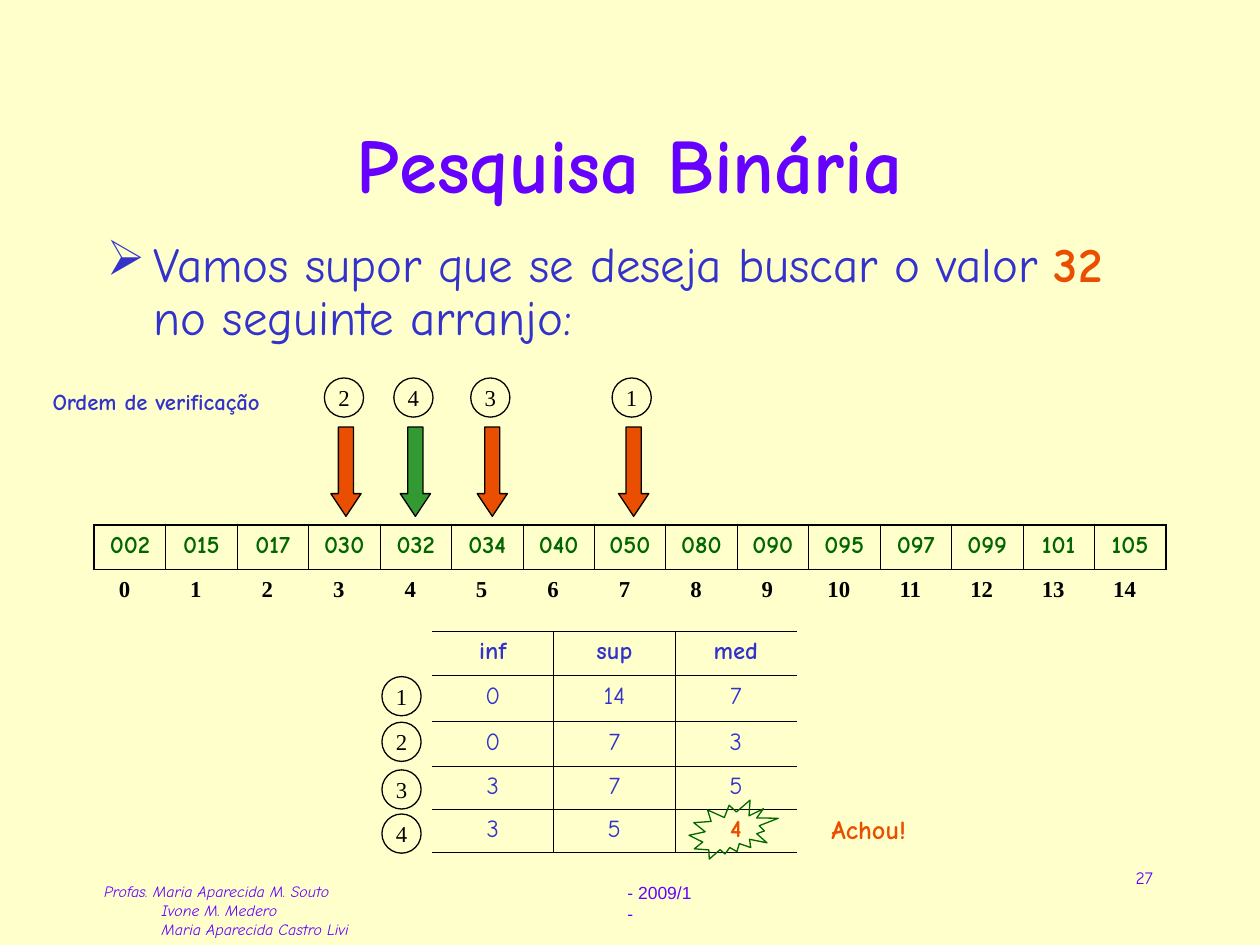
import dataclasses

import lxml.etree
import pptx
import pptx.dml.color
import pptx.enum.shapes
import pptx.enum.text
import pptx.oxml.ns
import pptx.util

Cm = pptx.util.Cm
Pt = pptx.util.Pt
SHAPE = pptx.enum.shapes.MSO_SHAPE
ALIGN = pptx.enum.text.PP_ALIGN
ANCHOR = pptx.enum.text.MSO_ANCHOR


@dataclasses.dataclass(frozen=True)
class Theme:
    paper: str = "FFFFCC"
    violet: str = "6600FF"
    blue: str = "3333CC"
    orange: str = "EA4E00"
    green: str = "339933"
    dark_green: str = "006600"
    black: str = "000000"
    comic: str = "Comic Neue"
    serif: str = "Times New Roman"
    sans: str = "Arial"
    title: float = 44
    body: float = 28
    found: float = 15
    cell: float = 14
    label: float = 13
    small: float = 10
    credit: float = 9
    outline: float = 0.75
    thin: float = 0.45
    thick: float = 1.08


def rgb(value):
    return pptx.dml.color.RGBColor.from_string(value)


def add_xml(parent, tag, **attrs):
    return lxml.etree.SubElement(parent, pptx.oxml.ns.qn(tag), attrs)


class Board:
    def __init__(self, prs, theme):
        self.theme = theme
        self.slide = prs.slides.add_slide(prs.slide_layouts[6])
        fill = self.slide.background.fill
        fill.solid()
        fill.fore_color.rgb = rgb(theme.paper)

    def run(self, p, text, size, color, font=None, bold=False, italic=False):
        r = p.add_run()
        r.text = text
        r.font.name = font or self.theme.comic
        r.font.size = Pt(size)
        r.font.color.rgb = rgb(color)
        r.font.bold = bold
        r.font.italic = italic

    def text(self, box, wrap=True, align=ALIGN.LEFT, anchor=ANCHOR.TOP):
        sp = self.slide.shapes.add_textbox(*map(Cm, box))
        tf = sp.text_frame
        tf.word_wrap = wrap
        tf.vertical_anchor = anchor
        p = tf.paragraphs[0]
        p.alignment = align
        return tf, p

    def label(self, box, text, size, color, font=None, bold=False, **layout):
        tf, p = self.text(box, **layout)
        self.run(p, text, size, color, font, bold)

    def bullet(self, p, mark, color, indent):
        pPr = p._p.get_or_add_pPr()
        pPr.set("marL", str(Cm(indent)))
        pPr.set("indent", str(-Cm(indent)))
        add_xml(add_xml(pPr, "a:buClr"), "a:srgbClr", val=color)
        add_xml(pPr, "a:buChar", char=mark)

    def tabs(self, p, positions):
        tab_list = add_xml(p._p.get_or_add_pPr(), "a:tabLst")
        for pos in positions:
            add_xml(tab_list, "a:tab", pos=str(Cm(pos)), algn="ctr")

    def shape(self, kind, box, line, fill=None):
        sp = self.slide.shapes.add_shape(kind, *map(Cm, box))
        sp.shadow.inherit = False
        sp.line.color.rgb = rgb(line)
        sp.line.width = Pt(self.theme.outline)
        if fill:
            sp.fill.solid()
            sp.fill.fore_color.rgb = rgb(fill)
        else:
            sp.fill.background()
        return sp

    def badge(self, left, top, number):
        th = self.theme
        sp = self.shape(SHAPE.OVAL, (left, top, 0.79, 0.79), th.black)
        tf = sp.text_frame
        tf.word_wrap = False
        tf.vertical_anchor = ANCHOR.MIDDLE
        p = tf.paragraphs[0]
        p.alignment = ALIGN.CENTER
        self.run(p, str(number), th.label, th.black, th.serif)

    def arrow(self, left, top, color):
        sp = self.shape(SHAPE.DOWN_ARROW, (left, top, 0.61, 1.8), self.theme.black, color)
        sp.adjustments[0] = 0.5
        sp.adjustments[1] = 0.75

    def borders(self, cell, left, right, top, bottom):
        tcPr = cell._tc.get_or_add_tcPr()
        for side, width in zip("LRTB", (left, right, top, bottom)):
            ln = add_xml(tcPr, f"a:ln{side}", w=str(Pt(width)))
            if width:
                add_xml(add_xml(ln, "a:solidFill"), "a:srgbClr", val=self.theme.black)
            else:
                add_xml(ln, "a:noFill")

    def table(self, left, top, col_width, row_heights, rows, style, edge, rule):
        cols = len(rows[0])
        box = (left, top, col_width * cols, sum(row_heights))
        tbl = self.slide.shapes.add_table(len(rows), cols, *map(Cm, box)).table
        tbl.first_row = False
        tbl.horz_banding = False
        for column in tbl.columns:
            column.width = Cm(col_width)
        for i, (height, row) in enumerate(zip(row_heights, rows)):
            tbl.rows[i].height = Cm(height)
            for j, value in enumerate(row):
                cell = tbl.cell(i, j)
                p = cell.text_frame.paragraphs[0]
                p.alignment = ALIGN.CENTER
                p.space_before = Pt(3.5)
                color, bold = style(i, j)
                self.run(p, value, self.theme.cell, color, bold=bold)
                self.borders(cell,
                             self.theme.thin if j else edge,
                             self.theme.thin if j < cols - 1 else edge,
                             rule, rule)
                cell.fill.background()


def main():
    th = Theme()
    prs = pptx.Presentation()
    prs.slide_width, prs.slide_height = Cm(25.4), Cm(19.05)
    board = Board(prs, th)
    left, width = 1.9, 21.6

    authors = ("Profas. Maria Aparecida M. Souto", "Ivone M. Medero", "Maria Aparecida Castro Livi")
    tf, p = board.text((1.85, 17.65, 6.65, 1.4))
    for i, author in enumerate(authors):
        if i:
            p = tf.add_paragraph()
            p._p.get_or_add_pPr().set("marL", str(Cm(1.16)))
        board.run(p, author, th.credit, th.violet, italic=True)
    board.label((12.4, 17.65, 2, 0.69), "- 2009/1 -", th.small, th.violet, th.sans, wrap=False)

    board.label((left, 1.7, width, 3.18), "Pesquisa Binária", th.title, th.violet,
                bold=True, align=ALIGN.CENTER, anchor=ANCHOR.MIDDLE)

    tf, p = board.text((left, 4.72, width, 2.62))
    p.line_spacing = 0.9
    p.space_before = Pt(7)
    board.bullet(p, "➢", th.blue, 0.95)
    board.run(p, "Vamos supor que se deseja buscar o valor ", th.body, th.blue)
    board.run(p, "32", th.body, th.orange, bold=True)
    board.run(p, " no seguinte arranjo:", th.body, th.blue)

    values = "002 015 017 030 032 034 040 050 080 090 095 097 099 101 105".split()
    board.table(left, 10.59, width / len(values), [0.89], [values],
                lambda i, j: (th.dark_green, True), th.thick, th.thick)

    tf, p = board.text((left, 11.46, width, 0.81))
    p.space_before = Pt(8.1)
    board.tabs(p, [0.36 + 1.44 * i for i in range(len(values))])
    for i in range(len(values)):
        board.run(p, f"\t{i}", th.label, th.black, th.serif, bold=True)

    checks = ((1, 12.34, th.orange), (2, 6.54, th.orange),
              (3, 9.49, th.orange), (4, 7.94, th.green))
    for number, x, color in checks:
        board.arrow(x + 0.13, 8.61, color)
        board.badge(x, 7.62, number)
    board.label((0.81, 7.7, 4.7, 0.81), "Ordem de verificação", th.label, th.blue,
                bold=True, wrap=False)

    steps = [("inf", "sup", "med"), ("0", "14", "7"), ("0", "7", "3"),
             ("3", "7", "5"), ("3", "5", "4")]

    def step_style(i, j):
        found = (i, j) == (4, 2)
        return (th.orange if found else th.blue), found or i == 0

    board.table(8.71, 12.73, 2.45, [0.89, 0.93, 0.89, 0.87, 0.87], steps,
                step_style, 0, th.thin)
    board.shape(SHAPE.EXPLOSION2, (13.89, 16.13, 1.8, 1.19), th.dark_green)
    board.label((16.51, 16.28, 2.01, 0.89), "Achou!", th.found, th.orange,
                bold=True, wrap=False)
    for number, y in enumerate((13.64, 14.56, 15.52, 16.41), start=1):
        board.badge(7.7, y, number)

    board.label((18.21, 17.35, 5.28, 1.27), "27", th.small, th.violet, align=ALIGN.RIGHT)
    prs.save("out.pptx")


if __name__ == "__main__":
    main()
